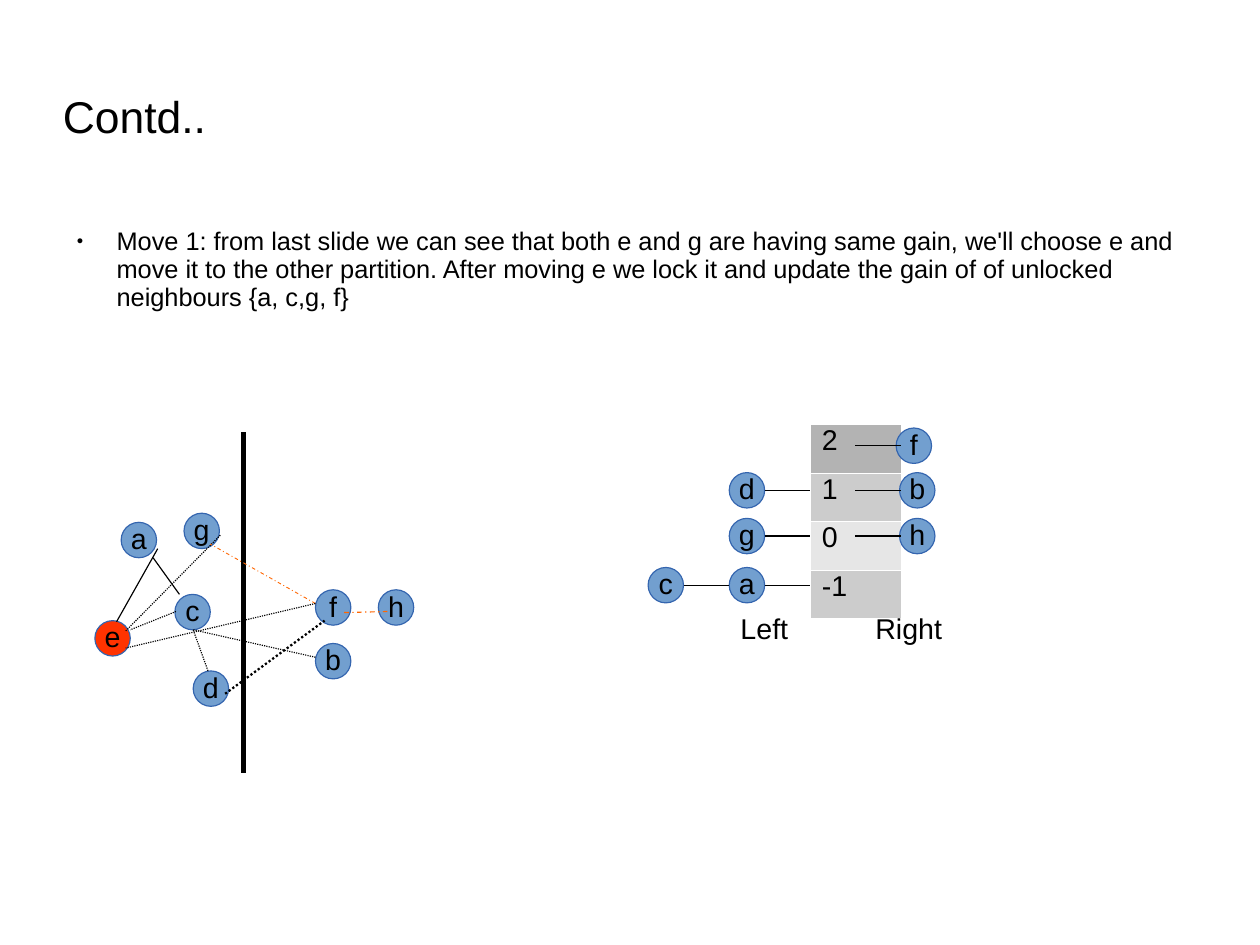
from dataclasses import dataclass

from lxml.etree import SubElement
from pptx import Presentation
from pptx.dml.color import RGBColor
from pptx.enum.dml import MSO_LINE_DASH_STYLE as Dash
from pptx.enum.shapes import MSO_CONNECTOR as Connector, MSO_SHAPE as Shape
from pptx.enum.text import MSO_ANCHOR as Anchor, MSO_AUTO_SIZE as AutoSize, PP_ALIGN as Align
from pptx.oxml import parse_xml
from pptx.oxml.ns import nsdecls, qn
from pptx.util import Cm, Inches, Pt


@dataclass(frozen=True)
class Theme:
    font: str = "Arial"
    title_size: float = 28
    body_size: float = 16
    label_size: float = 18
    ink: str = "000000"
    node: str = "729FCF"
    locked: str = "FF3300"
    outline: str = "3465AF"
    cut: str = "FF6600"
    border: str = "FFFFFF"
    thin: float = 0.75


THEME = Theme()

# Content
TITLE = "Contd.."
BODY = ("Move 1: from last slide we can see that both e and g are having same gain, "
        "we'll choose e and move it to the other partition. After moving e we lock it "
        "and update the gain of of unlocked neighbours {a, c,g, f}")

# Graph nodes: name -> left, top
NODES = {
    "a": (1.06, 4.57), "g": (1.61, 4.49), "c": (1.53, 5.2), "d": (1.69, 5.87),
    "e": (0.83, 5.43), "f": (2.76, 5.16), "b": (2.76, 5.63), "h": (3.31, 5.16),
}
LOCKED_NODE = "e"

# Graph edges: start, end, format
DOTTED = {"dash": Dash.ROUND_DOT}
CUT = {"dash": Dash.DASH_DOT, "color": THEME.cut}
EDGES = [
    ((2.13, 3.78), (2.13, 6.76), {"width": 2.83}),  # partition line
    ((1.34, 4.88), (1.57, 5.2), {}),
    ((1.02, 5.44), (1.38, 4.8), {}),
    ((2.76, 5.75), (1.69, 5.51), DOTTED),
    ((1.82, 5.87), (1.69, 5.51), DOTTED),
    ((1.1, 5.52), (1.93, 4.68), DOTTED),
    ((2.76, 5.28), (1.84, 4.76), CUT | {"width": 0.57}),
    ((3.39, 5.35), (2.99, 5.36), CUT),
    ((1.54, 5.35), (1.14, 5.51), DOTTED),
    ((2.76, 5.28), (1.1, 5.67), DOTTED),
    ((1.97, 6.07), (2.84, 5.43), DOTTED | {"width": 1.42}),
]

# Gain buckets: gain, fill, line height, left nodes from the table outwards, right node and its left
BUCKETS = [
    ("2", "B3B3B3", 3.9, "", "f", 7.84),
    ("1", "CCCCCC", 4.29, "d", "b", 7.87),
    ("0", "E6E6E6", 4.69, "g", "h", 7.87),
    ("-1", "CCCCCC", 5.12, "ac", "", 0),
]
SIDES = [("Left", 6.38, 0.71), ("Right", 7.56, 0.79)]

# Measures
NODE_SIZE = 0.31
TABLE_LEFT, TABLE_TOP, TABLE_WIDTH, TABLE_HEIGHT = 7.09, 3.71, 0.79, 1.7
CHAIN_STEP, LINK = 0.71, 0.4


def rgb(code):
    return RGBColor.from_string(code)


def write(frame, text, size=THEME.label_size, align=Align.LEFT, spacing=0.93, after=0):
    para = frame.paragraphs[0]
    para.alignment = align
    para.line_spacing = spacing
    para.space_before = Pt(0)
    para.space_after = Pt(after)
    span = para.add_run()
    span.text = text
    span.font.name = THEME.font
    span.font.size = Pt(size)
    span.font.bold = False
    span.font.color.rgb = rgb(THEME.ink)
    return para


def set_margins(frame, side=0.1, top=0.05, bottom=0.05):
    frame.margin_left = frame.margin_right = Inches(side)
    frame.margin_top, frame.margin_bottom = Inches(top), Inches(bottom)


def fill_placeholder(box, text, bounds, size, anchor, top, after=0):
    box.left, box.top, box.width, box.height = map(Inches, bounds)
    frame = box.text_frame
    frame.auto_size = AutoSize.NONE
    frame.vertical_anchor = anchor
    set_margins(frame, side=0, top=top, bottom=0)
    return write(frame, text, size=size, after=after)


def add_bullet(para, indent, hanging):
    props = para._p.get_or_add_pPr()
    props.set("marL", str(Inches(indent)))
    props.set("indent", str(-Inches(hanging)))
    color = SubElement(props, qn("a:buClr"))
    SubElement(color, qn("a:srgbClr"), val=THEME.ink)
    SubElement(props, qn("a:buSzPct"), val="45000")
    SubElement(props, qn("a:buFont"), typeface=THEME.font)
    SubElement(props, qn("a:buChar"), char="●")


def add_node(slide, name, left, top, fill=THEME.node):
    node = slide.shapes.add_shape(Shape.OVAL, Inches(left), Inches(top),
                                  Inches(NODE_SIZE), Inches(NODE_SIZE))
    node.shadow.inherit = False
    node.fill.solid()
    node.fill.fore_color.rgb = rgb(fill)
    node.line.color.rgb = rgb(THEME.outline)
    node.line.width = Pt(THEME.thin)
    frame = node.text_frame
    frame.word_wrap = False
    frame.vertical_anchor = Anchor.MIDDLE
    set_margins(frame)
    write(frame, name, align=Align.CENTER)


def add_line(slide, start, end, width=THEME.thin, color=THEME.ink, dash=None):
    line = slide.shapes.add_connector(Connector.STRAIGHT, *map(Inches, start + end))
    line.line.width = Pt(width)
    line.line.color.rgb = rgb(color)
    if dash:
        line.line.dash_style = dash
    SubElement(line._element.spPr, qn("a:effectLst"))


def add_gain_table(slide):
    frame = slide.shapes.add_table(len(BUCKETS), 1, Inches(TABLE_LEFT), Inches(TABLE_TOP),
                                   Inches(TABLE_WIDTH), Inches(TABLE_HEIGHT))
    table = frame.table
    table.first_row = table.horz_banding = False
    for row, (gain, fill, *_) in enumerate(BUCKETS):
        cell = table.cell(row, 0)
        set_margins(cell)
        write(cell.text_frame, gain, spacing=0.81)
        cell.fill.solid()
        cell.fill.fore_color.rgb = rgb(fill)
        for order, side in enumerate("LRTB"):
            cell._tc.tcPr.insert(order, parse_xml(
                f'<a:ln{side} {nsdecls("a")} w="{Pt(0.06)}"><a:solidFill>'
                f'<a:srgbClr val="{THEME.border}"/></a:solidFill></a:ln{side}>'))


def add_bucket_nodes(slide):
    for _, _, middle, left_nodes, right_node, right_left in BUCKETS:
        top = middle - NODE_SIZE / 2
        for place, name in enumerate(left_nodes):
            link_end = TABLE_LEFT - place * CHAIN_STEP
            add_node(slide, name, link_end - CHAIN_STEP, top)
            add_line(slide, (link_end - LINK, middle), (link_end, middle))
        if right_node:
            center = TABLE_LEFT + TABLE_WIDTH / 2
            add_node(slide, right_node, right_left, top)
            add_line(slide, (center, middle), (center + LINK, middle))


def main():
    deck = Presentation()
    deck.slide_width = Cm(28)
    deck.slide_height = Cm(21)
    slide = deck.slides.add_slide(deck.slide_layouts[1])

    # Title and text
    fill_placeholder(slide.shapes.title, TITLE, (0.55, 0.63, 7.87, 0.79),
                     THEME.title_size, Anchor.MIDDLE, top=0.03)
    para = fill_placeholder(slide.placeholders[1], BODY, (0.55, 1.97, 9.92, 4.79),
                            THEME.body_size, Anchor.TOP, top=0.02, after=14.3)
    add_bullet(para, indent=0.47, hanging=0.35)

    # Partitioned graph
    for name, (left, top) in NODES.items():
        add_node(slide, name, left, top,
                 fill=THEME.locked if name == LOCKED_NODE else THEME.node)
    for start, end, style in EDGES:
        add_line(slide, start, end, **style)

    # Gain buckets
    add_gain_table(slide)
    add_bucket_nodes(slide)
    for text, left, width in SIDES:
        box = slide.shapes.add_textbox(Inches(left), Inches(5.32), Inches(width), Inches(0.38))
        box.text_frame.word_wrap = True
        set_margins(box.text_frame)
        write(box.text_frame, text)

    deck.save("out.pptx")


if __name__ == "__main__":
    main()
